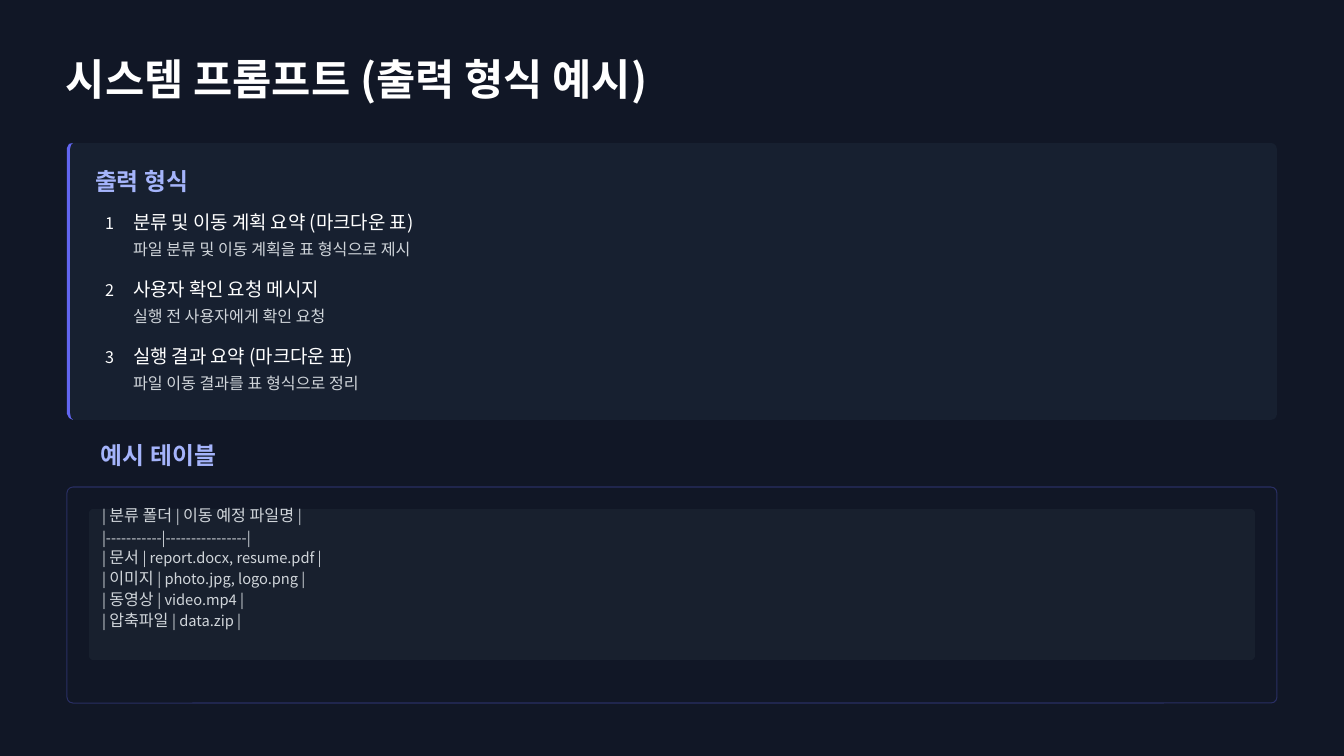
from itertools import cycle

from lxml import etree
from pptx import Presentation
from pptx.dml.color import RGBColor
from pptx.enum.shapes import MSO_SHAPE
from pptx.enum.text import MSO_ANCHOR, MSO_AUTO_SIZE, PP_ALIGN
from pptx.oxml.ns import qn
from pptx.util import Pt

ROUNDED = MSO_SHAPE.ROUNDED_RECTANGLE
TOP = MSO_ANCHOR.TOP
LEFT = PP_ALIGN.LEFT
NO_FIT = MSO_AUTO_SIZE.NONE

# Content
TITLE = "시스템 프롬프트 (출력 형식 예시)"
FORMAT_HEADING = "출력 형식"
STEPS = [
    ("분류 및 이동 계획 요약 (마크다운 표)", "파일 분류 및 이동 계획을 표 형식으로 제시"),
    ("사용자 확인 요청 메시지", "실행 전 사용자에게 확인 요청"),
    ("실행 결과 요약 (마크다운 표)", "파일 이동 결과를 표 형식으로 정리"),
]
EXAMPLE_HEADING = "예시 테이블"
# Markdown rows: pieces alternate between symbol size and word size
MARKDOWN_ROWS = [
    ("| ", "분류 폴더 ", "| ", "이동 예정 파일명 ", "|"),
    ("|-----------|----------------|",),
    ("| ", "문서 ", "| report.docx, resume.pdf |"),
    ("| ", "이미지 ", "| photo.jpg, logo.png |"),
    ("| ", "동영상 ", "| video.mp4 |"),
    ("| ", "압축파일 ", "| data.zip |"),
]

# Style
FONT = "Noto Sans CJK KR"
NAVY = RGBColor(0x11, 0x17, 0x26)
SLATE = RGBColor(0x1D, 0x29, 0x3B)
CODE_GRAY = RGBColor(0x1F, 0x29, 0x37)
INDIGO = RGBColor(0x62, 0x66, 0xF1)
LAVENDER = RGBColor(0xA5, 0xB4, 0xFB)
WHITE = RGBColor(0xFF, 0xFF, 0xFF)
LIGHT_GRAY = RGBColor(0xD0, 0xD5, 0xDA)
TITLE_SIZE, HEADING_SIZE, STEP_SIZE, WORD_SIZE, SYMBOL_SIZE = 30.5, 17, 13.5, 11.5, 10.5
LINE_FACTOR = 1.2
EMU_PER_PX = 914400 / 100.8

# Layout in px: left, top, width, height
PAGE_SIZE = (1344, 756)
TITLE_BOX = (65, 53, 660, 54)
FORMAT_CARD = (68, 143, 1209, 277)
EXAMPLE_PANEL = (67, 487, 1210, 225)
EXAMPLE_FRAME = (67, 487, 1210, 216)
CODE_CARD = (89, 509, 1166, 151)
BODY_BOX = (94, 167, 426, 469)
ACCENT_OUTLINE = [(73, 420), (69, 418), (67, 414), (67, 148), (69, 144), (73, 143),
                  (71, 145), (70, 149), (70, 413), (71, 418)]
STEP_INDENT, STEP_HANG, HEADING_INDENT, CODE_INDENT = 39, 28, 7, 8


def px(value):
    return round(value * EMU_PER_PX)


def set_alpha(fill_parent, percent):
    color = fill_parent.find(".//" + qn("a:srgbClr"))
    etree.SubElement(color, qn("a:alpha"), val=str(percent * 1000))


def add_card(page, box, radius, color=None, alpha=100, line_color=None):
    card = page.shapes.add_shape(ROUNDED, *map(px, box))
    card.shadow.inherit = False
    card.adjustments[0] = radius / min(box[2:])
    if color is None:
        card.fill.background()
    else:
        card.fill.solid()
        card.fill.fore_color.rgb = color
    if line_color is None:
        card.line.fill.background()
    else:
        card.line.color.rgb = line_color
        card.line.width = Pt(0.75)
    set_alpha(card._element.spPr, alpha)


def prepare_frame(frame):
    frame.margin_left = frame.margin_top = frame.margin_right = frame.margin_bottom = 0
    frame.word_wrap = True
    frame.auto_size = NO_FIT
    frame.vertical_anchor = TOP


def style_paragraph(para, size, color, bold=False, before=0, indent=1, number=None):
    props = para._p.get_or_add_pPr()
    props.set("marL", str(px(indent)))
    props.set("indent", str(-px(STEP_HANG) if number else 0))
    para.alignment = LEFT
    para.line_spacing = Pt(round(size * LINE_FACTOR, 1))
    para.space_before = Pt(before)
    if number:
        etree.SubElement(props, qn("a:buSzPct"), val="85000")
        etree.SubElement(props, qn("a:buAutoNum"), type="arabicPlain", startAt=str(number))
        tabs = etree.SubElement(props, qn("a:tabLst"))
        etree.SubElement(tabs, qn("a:tab"), pos=str(px(indent)), algn="l")
    else:
        etree.SubElement(props, qn("a:buNone"))
    para.font.name = FONT
    para.font.size = Pt(size)
    para.font.bold = bold
    para.font.color.rgb = color


def add_line(frame, text, size, color, **style):
    para = frame.add_paragraph() if frame.text else frame.paragraphs[0]
    para.text = text
    style_paragraph(para, size, color, **style)
    return para


def main():
    deck = Presentation()
    deck.slide_width, deck.slide_height = map(px, PAGE_SIZE)
    page = deck.slides.add_slide(deck.slide_layouts[5])
    page.background.fill.solid()
    page.background.fill.fore_color.rgb = NAVY

    # Title
    title = page.shapes.title
    title.left, title.top, title.width, title.height = map(px, TITLE_BOX)
    prepare_frame(title.text_frame)
    add_line(title.text_frame, TITLE, TITLE_SIZE, WHITE, bold=True)

    # Output format card with its accent edge
    add_card(page, FORMAT_CARD, 6, SLATE, 50)
    builder = page.shapes.build_freeform(*ACCENT_OUTLINE[0], scale=EMU_PER_PX)
    builder.add_line_segments(ACCENT_OUTLINE[1:], close=True)
    accent = builder.convert_to_shape()
    accent.shadow.inherit = False
    accent.fill.solid()
    accent.fill.fore_color.rgb = INDIGO
    accent.line.fill.background()

    # Example table panel
    add_card(page, EXAMPLE_PANEL, 6, NAVY, 70)
    add_card(page, EXAMPLE_FRAME, 6, alpha=30, line_color=INDIGO)
    add_card(page, CODE_CARD, 4, CODE_GRAY, 50)

    # Numbered steps
    body = page.shapes.add_textbox(*map(px, BODY_BOX)).text_frame
    prepare_frame(body)
    add_line(body, FORMAT_HEADING, HEADING_SIZE, LAVENDER, bold=True)
    for number, (step, detail) in enumerate(STEPS, 1):
        add_line(body, step, STEP_SIZE, WHITE, before=10.8 if number == 1 else 13.4,
                 indent=STEP_INDENT, number=number)
        add_line(body, detail, WORD_SIZE, LIGHT_GRAY, before=4.5, indent=STEP_INDENT)

    # Markdown example
    add_line(body, EXAMPLE_HEADING, HEADING_SIZE, LAVENDER, bold=True, before=34,
             indent=HEADING_INDENT)
    for row, pieces in enumerate(MARKDOWN_ROWS):
        para = add_line(body, "", WORD_SIZE, LIGHT_GRAY, before=1.2 if row else 26,
                        indent=CODE_INDENT)
        for piece, size in zip(pieces, cycle((SYMBOL_SIZE, WORD_SIZE))):
            span = para.add_run()
            span.text = piece
            span.font.size = Pt(size)

    deck.save("out.pptx")


if __name__ == "__main__":
    main()
